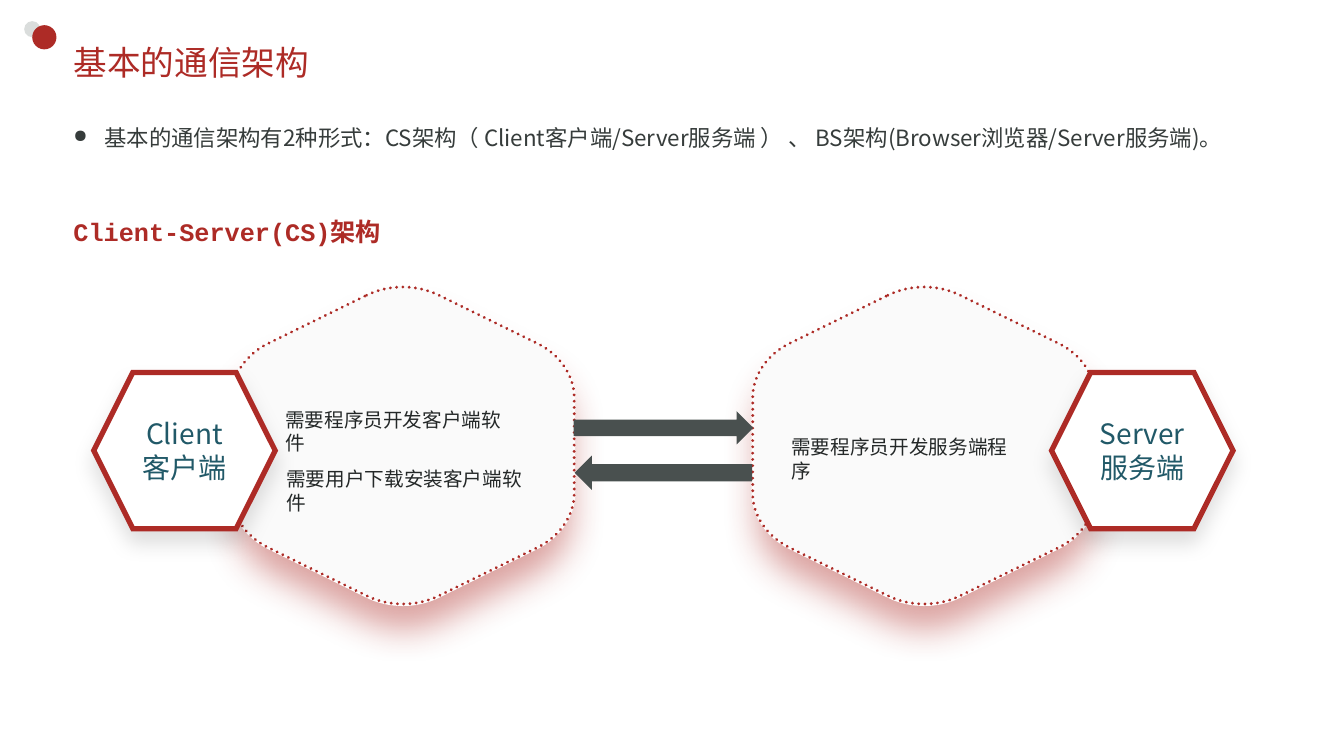
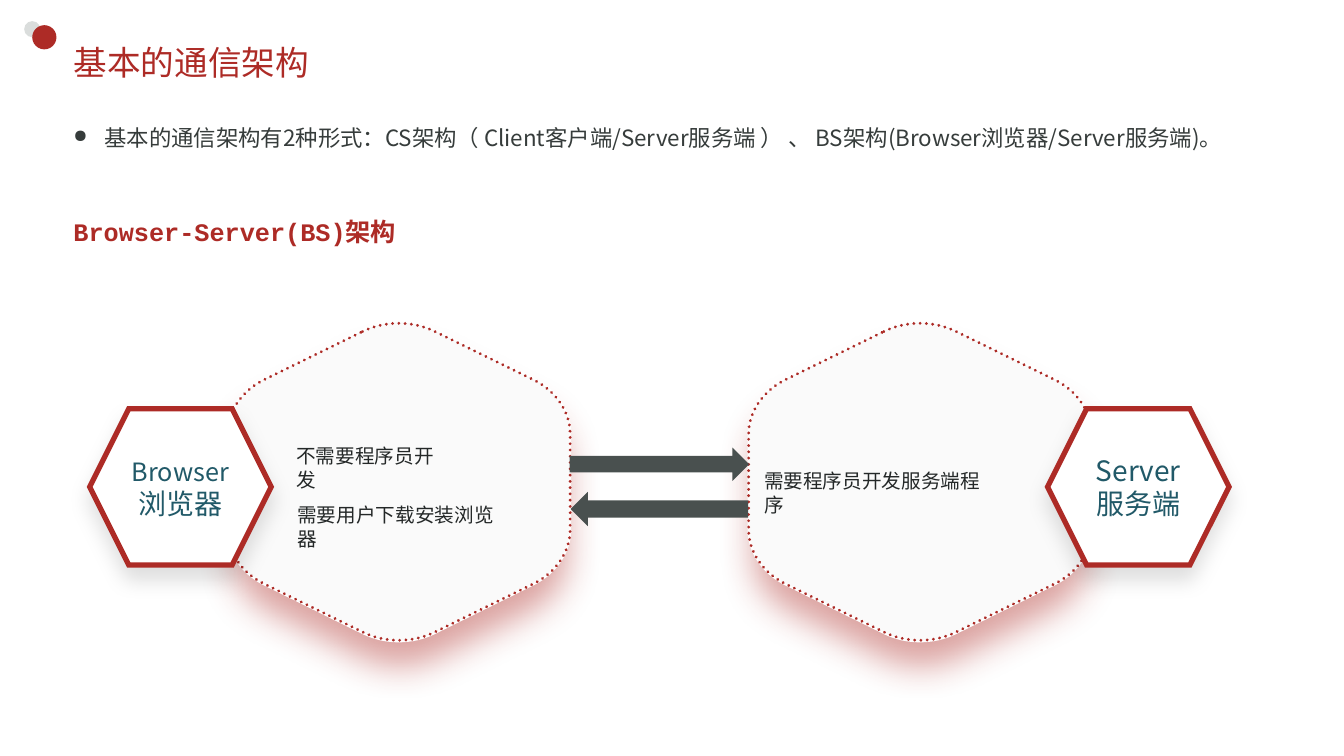
from dataclasses import dataclass

from lxml.etree import SubElement
from pptx import Presentation
from pptx.dml.color import RGBColor
from pptx.enum.dml import MSO_LINE
from pptx.enum.shapes import MSO_SHAPE
from pptx.enum.text import MSO_ANCHOR, MSO_AUTO_SIZE, PP_ALIGN
from pptx.oxml.ns import qn
from pptx.util import Inches, Pt

COLORS = {
    "red": "AD2B26", "pale": "DADDDC", "body": "363C3B", "note": "242828",
    "teal": "215968", "arrow": "49504F", "bubble": "FAFAFA",
    "white": "FFFFFF", "black": "000000",
}
SANS = "Noto Sans CJK JP"
MONO = "Courier New"
TITLE = "基本的通信架构"
INTRO = ("基本的通信架构有2种形式：CS架构（ Client客户端/Server服务端 ） 、 "
         "BS架构(Browser浏览器/Server服务端)。")

# Bezier corners of the rounded hexagon, in inches from its centre
TOP = ((-0.36, -1.49), (-0.14, -1.6), (0.14, -1.6), (0.36, -1.49))
UPPER_RIGHT = ((1.34, -1.01), (1.56, -0.9), (1.7, -0.69), (1.7, -0.48))
BUBBLE_WIDTH, BUBBLE_HEIGHT = 3.39, 3.14
LABEL_OFFSET = 4.75
LABEL_WIDTH, LABEL_HEIGHT = 1.8, 1.55


@dataclass(frozen=True)
class Label:
    english: str
    chinese: str
    english_size: int = 20


@dataclass(frozen=True)
class Note:
    text: str
    left: float
    top: float
    width: float


@dataclass(frozen=True)
class Arrow:
    """An arrow placed from the centre of the diagram."""
    kind: MSO_SHAPE
    left: float
    top: float
    width: float
    height: float


@dataclass(frozen=True)
class Architecture:
    heading: str
    center_x: float
    center_y: float
    client: Label
    notes: tuple[Note, ...]


SERVER = Label("Server", "服务端")
ARROWS = (
    Arrow(MSO_SHAPE.RIGHT_ARROW, -0.89, -0.34, 1.78, 0.33),
    Arrow(MSO_SHAPE.LEFT_ARROW, -0.88, 0.1, 1.76, 0.34),
)
ARCHITECTURES = (
    Architecture("Client-Server(CS)架构", 6.58, 4.42, Label("Client", "客户端"), (
        Note("需要程序员开发客户端软件", 2.73, 3.99, 2.52),
        Note("需要用户下载安装客户端软件", 2.74, 4.58, 2.71),
        Note("需要程序员开发服务端程序", 7.75, 4.26, 2.52),
    )),
    Architecture("Browser-Server(BS)架构", 6.54, 4.78, Label("Browser", "浏览器", 18), (
        Note("不需要程序员开发", 2.84, 4.35, 1.74),
        Note("需要用户下载安装浏览器", 2.85, 4.94, 2.32),
        Note("需要程序员开发服务端程序", 7.48, 4.6, 2.52),
    )),
)


def rgb(name: str) -> RGBColor:
    return RGBColor.from_string(COLORS[name])


def add_span(para, text: str, size: float, color: str, font=SANS, bold=False) -> None:
    span = para.add_run()
    span.text = text
    span.font.size = Pt(size)
    span.font.bold = bold
    span.font.name = font
    span.font.color.rgb = rgb(color)
    SubElement(span._r.get_or_add_rPr(), qn("a:ea"), typeface=SANS)


def add_text(page, left: float, top: float, width: float, height: float, spacing: float):
    """Add a wrapping text box and return its first paragraph."""
    box = page.shapes.add_textbox(Inches(left), Inches(top), Inches(width), Inches(height))
    box.text_frame.word_wrap = True
    para = box.text_frame.paragraphs[0]
    para.line_spacing = Pt(spacing)
    return para


def style(shape, fill=None, line=None, width=0.0) -> None:
    shape.shadow.inherit = False
    if fill:
        shape.fill.solid()
        shape.fill.fore_color.rgb = rgb(fill)
    else:
        shape.fill.background()
    if line:
        shape.line.color.rgb = rgb(line)
        shape.line.width = Pt(width)
    else:
        shape.line.fill.background()


def add_shadow(shape, color: str, percent: int, blur: float, distance: float, scale=100) -> None:
    effects = shape._element.spPr.find(qn("a:effectLst"))
    shadow = SubElement(effects, qn("a:outerShdw"), blurRad=str(Pt(blur)),
                        dist=str(Pt(distance)), dir="5400000", sx=str(scale * 1000),
                        sy=str(scale * 1000), algn="t", rotWithShape="0")
    tint = SubElement(shadow, qn("a:srgbClr"), val=COLORS[color])
    SubElement(tint, qn("a:alpha"), val=str(percent * 1000))


def add_preset(page, kind, left: float, top: float, width: float, height: float):
    return page.shapes.add_shape(kind, Inches(left), Inches(top), Inches(width), Inches(height))


def rounded_corners() -> list[list[tuple[float, float]]]:
    """Return the six corners clockwise, shifted so the outline starts at zero."""
    lower_right = [(x, -y) for x, y in reversed(UPPER_RIGHT)]
    half = [TOP, UPPER_RIGHT, lower_right]
    corners = half + [[(-x, -y) for x, y in corner] for corner in half]
    return [[(x + BUBBLE_WIDTH / 2, y + BUBBLE_HEIGHT / 2) for x, y in corner]
            for corner in corners]


def add_outline(page, left: float, top: float, height: float):
    """Build the hexagon from its corner ends, then bend each corner into a curve."""
    corners = rounded_corners()
    ends = [(Inches(x), Inches(y)) for corner in corners for x, y in (corner[0], corner[3])]
    builder = page.shapes.build_freeform(*ends[0])
    builder.add_line_segments(ends[1:], close=True)
    outline = builder.convert_to_shape()
    outline.left, outline.top = Inches(left), Inches(top)
    outline.width, outline.height = Inches(BUBBLE_WIDTH), Inches(height)

    curve = outline._element.spPr.find(".//" + qn("a:pathLst"))[0]
    curve.set("w", str(Inches(BUBBLE_WIDTH)))
    curve.set("h", str(Inches(BUBBLE_HEIGHT)))
    for command in list(curve):
        curve.remove(command)
    for index, corner in enumerate(corners):
        start = SubElement(curve, qn("a:lnTo" if index else "a:moveTo"))
        bend = SubElement(curve, qn("a:cubicBezTo"))
        for parent, (x, y) in zip((start, bend, bend, bend), corner):
            SubElement(parent, qn("a:pt"), x=str(Inches(x)), y=str(Inches(y)))
    SubElement(curve, qn("a:close"))
    return outline


def add_bubble(page, left: float, top: float) -> None:
    panel = add_outline(page, left, top - 0.02, BUBBLE_HEIGHT + 0.03)
    style(panel, "bubble", "white", 1.5)
    add_shadow(panel, "red", 43, 26, 23, 97)
    border = add_outline(page, left, top, BUBBLE_HEIGHT)
    style(border, line="red", width=2.25)
    border.line.dash_style = MSO_LINE.ROUND_DOT
    border.line._get_or_add_ln().set("cap", "rnd")


def add_label(page, label: Label, center_x: float, center_y: float) -> None:
    hexagon = add_preset(page, MSO_SHAPE.HEXAGON, center_x - LABEL_WIDTH / 2,
                         center_y - LABEL_HEIGHT / 2, LABEL_WIDTH, LABEL_HEIGHT)
    style(hexagon, "white", "red", 3.75)
    SubElement(hexagon.line._get_or_add_ln(), qn("a:miter"), lim="800000")
    add_shadow(hexagon, "black", 12, 15, 9)
    frame = hexagon.text_frame
    frame.vertical_anchor = MSO_ANCHOR.MIDDLE
    lines = ((label.english, label.english_size), (label.chinese, 20))
    for index, (text, size) in enumerate(lines):
        para = frame.add_paragraph() if index else frame.paragraphs[0]
        para.alignment = PP_ALIGN.CENTER
        para.line_spacing = Pt(23.6)
        add_span(para, text, size, "teal")


def add_header(page, heading: str) -> None:
    for left, top, size, color in ((0.24, 0.21, 0.16, "pale"), (0.32, 0.25, 0.24, "red")):
        style(add_preset(page, MSO_SHAPE.OVAL, left, top, size, size), color)

    intro = add_text(page, 0.63, 1.05, 12.1, 5.83, 28.6)
    properties = intro._p.get_or_add_pPr()
    properties.set("marL", str(Inches(0.31)))
    properties.set("indent", str(Inches(-0.31)))
    SubElement(properties, qn("a:buSzPct"), val="80000")
    SubElement(properties, qn("a:buChar"), char="●")
    add_span(intro, INTRO, 16, "body")

    title = page.shapes.title
    title.left, title.top = Inches(0.63), Inches(0.36)
    title.width, title.height = Inches(11.75), Inches(0.52)
    frame = title.text_frame
    frame.auto_size = MSO_AUTO_SIZE.NONE
    frame.vertical_anchor = MSO_ANCHOR.MIDDLE
    frame.paragraphs[0].alignment = PP_ALIGN.LEFT
    add_span(frame.paragraphs[0], TITLE, 24, "red", MONO)

    add_span(add_text(page, 0.63, 2.1, 4.07, 0.57, 21.6), heading, 18, "red", MONO, True)


def add_diagram(page, architecture: Architecture) -> None:
    center_x, center_y = architecture.center_x, architecture.center_y
    sides = ((-4.28, -LABEL_OFFSET, architecture.client), (0.89, LABEL_OFFSET, SERVER))
    for bubble_left, label_offset, label in sides:
        add_bubble(page, center_x + bubble_left, center_y - BUBBLE_HEIGHT / 2)
        add_label(page, label, center_x + label_offset, center_y + 0.05)
    for note in architecture.notes:
        para = add_text(page, note.left, note.top, note.width, 0.34, 17)
        add_span(para, note.text, 14, "note")
    for arrow in ARROWS:
        style(add_preset(page, arrow.kind, center_x + arrow.left, center_y + arrow.top,
                         arrow.width, arrow.height), "arrow")


def main() -> None:
    deck = Presentation()
    deck.slide_width, deck.slide_height = Inches(13.33), Inches(7.5)
    for architecture in ARCHITECTURES:
        page = deck.slides.add_slide(deck.slide_layouts[5])
        add_header(page, architecture.heading)
        add_diagram(page, architecture)
    deck.save("out.pptx")


if __name__ == "__main__":
    main()
